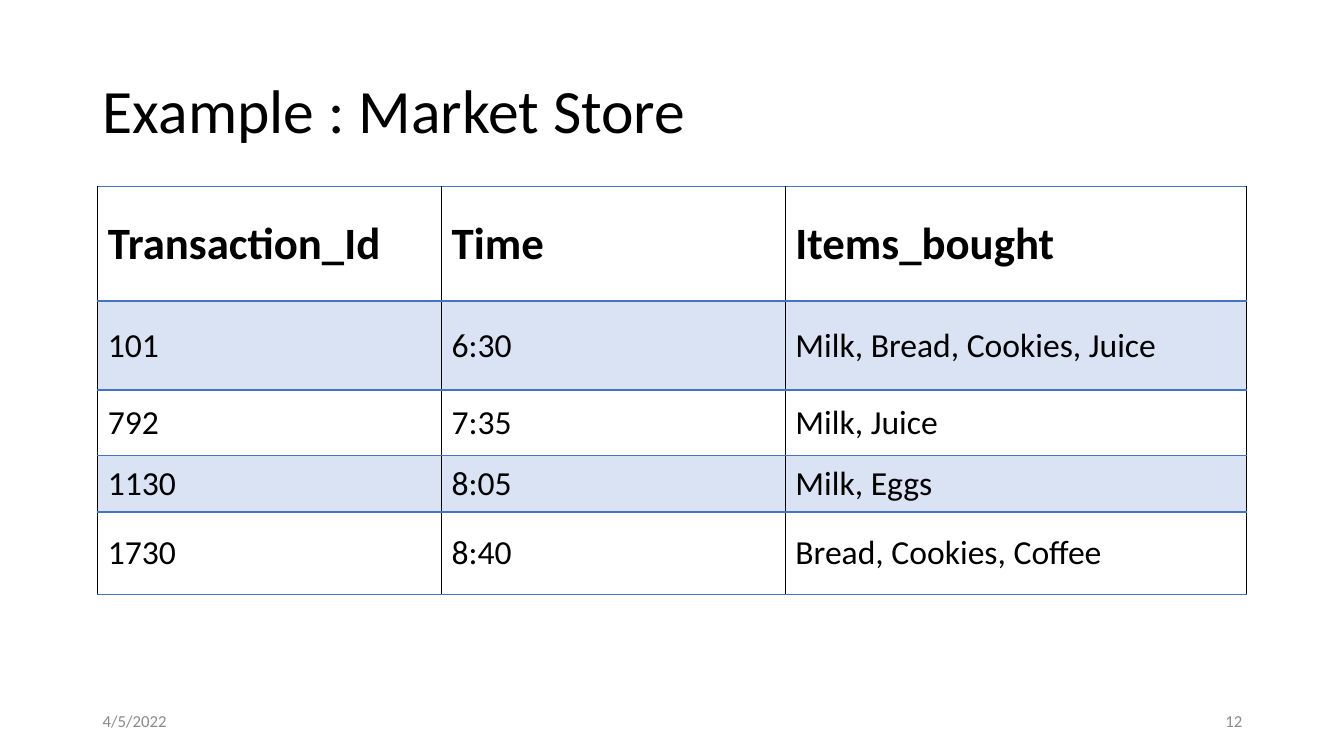
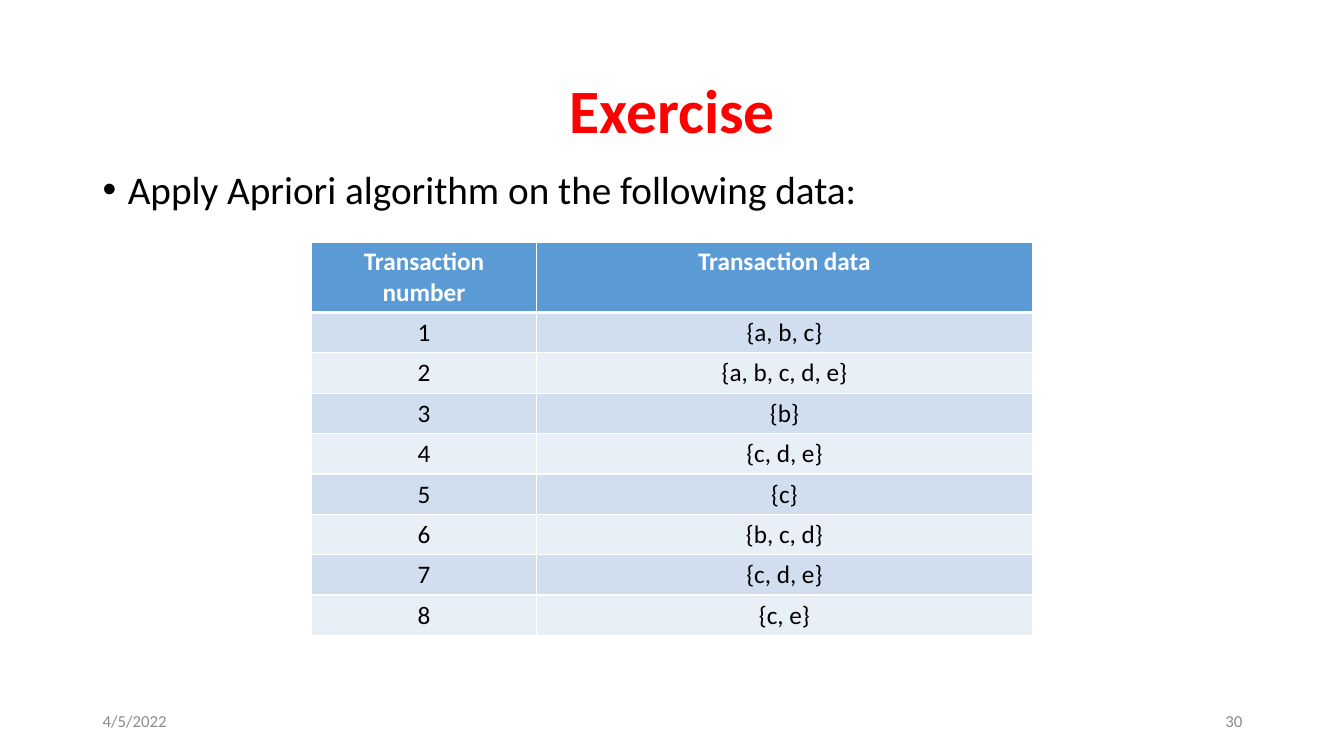
from lxml import etree
from pptx import Presentation
from pptx.dml.color import RGBColor
from pptx.enum.text import MSO_ANCHOR, MSO_AUTO_SIZE, PP_ALIGN
from pptx.oxml.ns import qn
from pptx.util import Inches, Pt

LEFT, CENTER, RIGHT = PP_ALIGN.LEFT, PP_ALIGN.CENTER, PP_ALIGN.RIGHT
TOP, MIDDLE = MSO_ANCHOR.TOP, MSO_ANCHOR.MIDDLE
NO_AUTOFIT = MSO_AUTO_SIZE.NONE

FONT = "Calibri"
BLACK = RGBColor(0x00, 0x00, 0x00)
WHITE = RGBColor(0xFF, 0xFF, 0xFF)
RED = RGBColor(0xFF, 0x00, 0x00)
GRAY = RGBColor(0x8B, 0x8B, 0x8B)
BLUE = RGBColor(0x44, 0x72, 0xC4)
PALE_BLUE = RGBColor(0xDA, 0xE3, 0xF3)
HEADER_BLUE = RGBColor(0x5B, 0x9B, 0xD5)
BAND_DARK = RGBColor(0xD1, 0xDE, 0xEF)
BAND_LIGHT = RGBColor(0xE9, 0xEF, 0xF7)

MARGIN, CONTENT_W = 0.92, 11.5
FOOTER_Y, FOOTER_W, FOOTER_H = 6.95, 3, 0.4
DATE = "4/5/2022"

STORE_ROWS = [
    ("Transaction_Id", "Time", "Items_bought"),
    ("101", "6:30", "Milk, Bread, Cookies, Juice"),
    ("792", "7:35", "Milk, Juice"),
    ("1130", "8:05", "Milk, Eggs"),
    ("1730", "8:40", "Bread, Cookies, Coffee"),
]
STORE_STYLE = {
    "header": {"size": Pt(32), "bold": True, "color": BLACK},
    "body": {"size": Pt(24), "bold": False, "color": BLACK},
    "align": LEFT, "anchor": MIDDLE,
    "header_fill": None, "bands": (PALE_BLUE, None),
    "across": BLUE, "down": BLACK, "line": 0.96, "header_line": 1.5,
}

ITEM_SETS = ["{a, b, c}", "{a, b, c, d, e}", "{b}", "{c, d, e}",
             "{c}", "{b, c, d}", "{c, d, e}", "{c, e}"]
EXERCISE_ROWS = [("Transaction number", "Transaction data")] + [
    (str(n), items) for n, items in enumerate(ITEM_SETS, 1)]
EXERCISE_STYLE = {
    "header": {"size": Pt(18), "bold": True, "color": WHITE},
    "body": {"size": Pt(18), "bold": False, "color": BLACK},
    "align": CENTER, "anchor": TOP,
    "header_fill": HEADER_BLUE, "bands": (BAND_DARK, BAND_LIGHT),
    "across": WHITE, "down": WHITE, "line": 0.96, "header_line": 3,
}


def write(tf, text, font, align=LEFT, spacing=None):
    p = tf.paragraphs[0]
    p.alignment, p.line_spacing = align, spacing
    r = p.add_run()
    r.text = text
    r.font.name = FONT
    for name, value in font.items():
        if name == "color":
            r.font.color.rgb = value
        else:
            setattr(r.font, name, value)
    return p


def add_text(slide, box, text, font, align=LEFT, anchor=MIDDLE, spacing=None):
    tf = slide.shapes.add_textbox(*map(Inches, box)).text_frame
    tf.word_wrap, tf.vertical_anchor = True, anchor
    return write(tf, text, font, align, spacing)


def add_slide(prs, title, number, title_font, align):
    """Add a slide with the shared title place, date and page number."""
    slide = prs.slides.add_slide(prs.slide_layouts.get_by_name("Title Only"))
    sp = slide.shapes.title
    sp.left, sp.top, sp.width, sp.height = map(
        Inches, (MARGIN, 0.4, CONTENT_W, 1.45))
    tf = sp.text_frame
    tf.auto_size, tf.vertical_anchor = NO_AUTOFIT, MIDDLE
    write(tf, title, {"size": Pt(44), **title_font}, align, 0.9)
    number_x = MARGIN + CONTENT_W - FOOTER_W
    for x, text, side in ((MARGIN, DATE, LEFT), (number_x, number, RIGHT)):
        add_text(slide, (x, FOOTER_Y, FOOTER_W, FOOTER_H), text,
                 {"size": Pt(12), "color": GRAY}, side)
    return slide


def add_bullet(p, indent):
    pPr = p._p.get_or_add_pPr()
    pPr.set("marL", str(Inches(indent)))
    pPr.set("indent", str(-Inches(indent)))
    etree.SubElement(pPr, qn("a:buFont")).set("typeface", "Arial")
    etree.SubElement(pPr, qn("a:buChar")).set("char", "•")


def set_borders(cell, borders):
    """Draw the cell's edges from (side, colour, points) in L, R, T, B order."""
    tcPr = cell._tc.get_or_add_tcPr()
    for side, color, points in borders:
        ln = etree.SubElement(tcPr, qn(f"a:ln{side}"), w=str(Pt(points)))
        fill = etree.SubElement(ln, qn("a:solidFill"))
        etree.SubElement(fill, qn("a:srgbClr")).set("val", str(color))


def add_table(slide, left, top, widths, heights, rows, style):
    size = (left, top, sum(widths), sum(heights))
    table = slide.shapes.add_table(
        len(rows), len(widths), *map(Inches, size)).table
    table.horz_banding = False
    for col, width in zip(table.columns, widths):
        col.width = Inches(width)
    for row, height in zip(table.rows, heights):
        row.height = Inches(height)
    line, across, down = style["line"], style["across"], style["down"]
    for i, texts in enumerate(rows):
        font = style["body"] if i else style["header"]
        fill = style["bands"][(i - 1) % 2] if i else style["header_fill"]
        above = style["header_line"] if i == 1 else line
        below = style["header_line"] if i == 0 else line
        for j, text in enumerate(texts):
            cell = table.cell(i, j)
            cell.vertical_anchor = style["anchor"]
            write(cell.text_frame, text, font, style["align"])
            set_borders(cell, (("L", down, line), ("R", down, line),
                               ("T", across, above), ("B", across, below)))
            if fill is None:
                cell.fill.background()
            else:
                cell.fill.solid()
                cell.fill.fore_color.rgb = fill


def main():
    prs = Presentation()
    prs.slide_width, prs.slide_height = Inches(13.33), Inches(7.5)

    slide = add_slide(prs, "Example : Market Store", "12",
                      {"color": BLACK}, LEFT)
    add_table(slide, 0.97, 1.85, (3.41, 3.41, 4.57),
              (1.14, 0.88, 0.65, 0.56, 0.82), STORE_ROWS, STORE_STYLE)

    slide = add_slide(prs, "Exercise", "30",
                      {"color": RED, "bold": True}, CENTER)
    p = add_text(slide, (MARGIN, 1.64, CONTENT_W, 4.76),
                 "Apply Apriori algorithm on the following data:",
                 {"size": Pt(28), "color": BLACK}, anchor=TOP, spacing=0.9)
    p.space_before = Pt(10)
    add_bullet(p, 0.25)
    add_table(slide, 3.09, 2.4, (2.23, 4.92),
              [0.7] + [0.4] * len(ITEM_SETS), EXERCISE_ROWS, EXERCISE_STYLE)

    prs.save("out.pptx")


if __name__ == "__main__":
    main()
